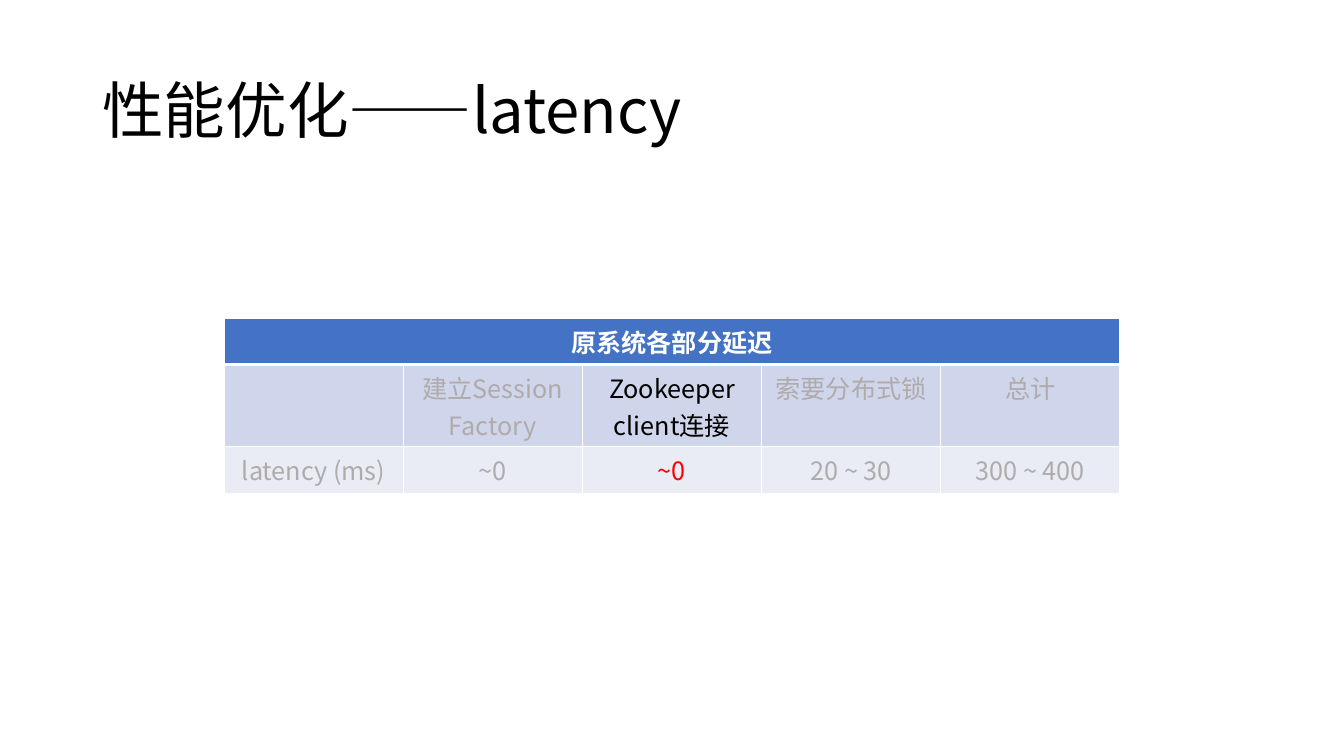
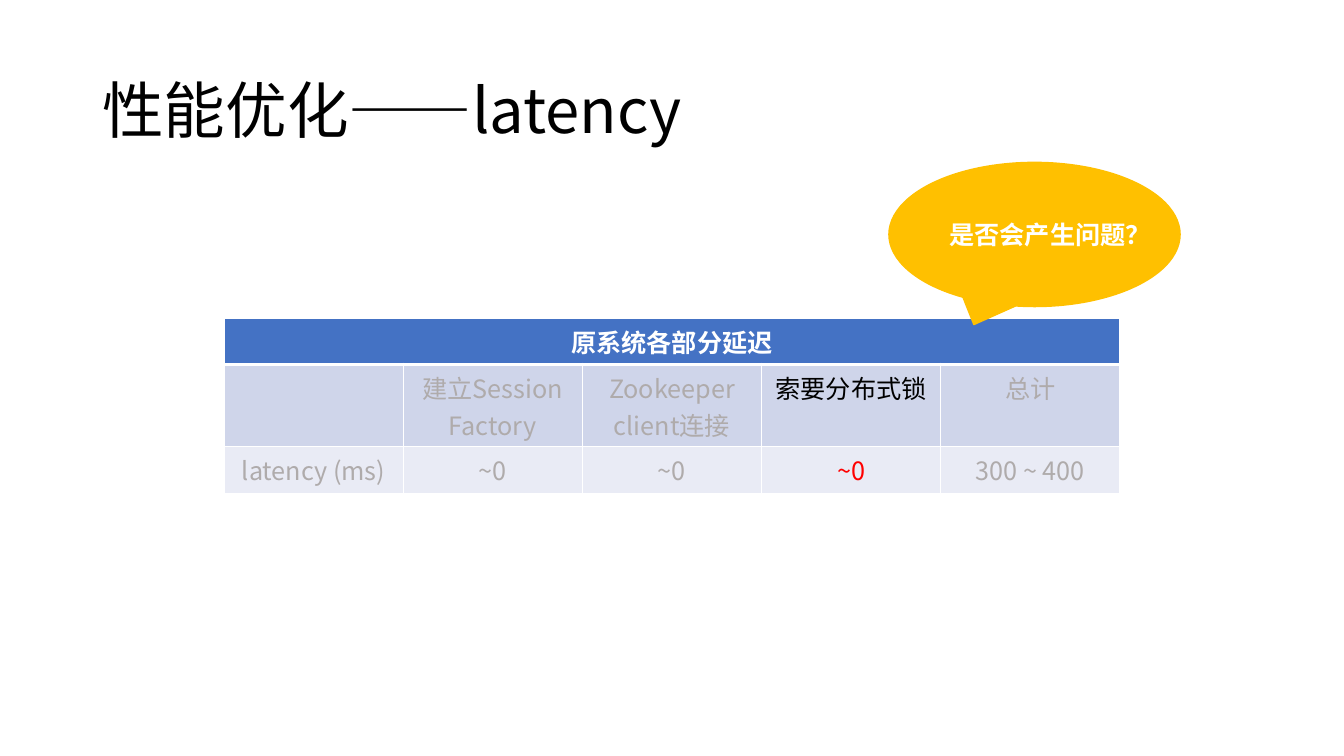
"""Builds two slides on the latency of each part of the system."""
from lxml.etree import SubElement
from pptx import Presentation
from pptx.dml.color import RGBColor
from pptx.enum.shapes import MSO_SHAPE
from pptx.enum.text import MSO_ANCHOR, PP_ALIGN
from pptx.oxml.ns import qn
from pptx.util import Pt

TITLE = "性能优化——latency"
TABLE_HEADING = "原系统各部分延迟"
STAGES = ["", "建立Session Factory", "Zookeeper client连接", "索要分布式锁", "总计"]
SLIDES = [
    {"latency": ["latency (ms)", "~0", "~0", "20 ~ 30", "300 ~ 400"],
     "active": 2, "question": None},
    {"latency": ["latency (ms)", "~0", "~0", "~0", "300 ~ 400"],
     "active": 3, "question": "是否会产生问题？"},
]

FONT = "Noto Sans CJK SC"
WHITE, BLACK, RED, MUTED, AMBER = "FFFFFF", "000000", "FF0000", "AFABAB", "FFC000"
ROW_FILLS = ["4472C4", "CFD5EA", "E9EBF5"]
ACTIVE_COLORS = [WHITE, BLACK, RED]
TITLE_STYLE = {"size": Pt(44), "bold": False}
BODY_STYLE = {"size": Pt(18), "bold": False}
STRONG_STYLE = {"size": Pt(18), "bold": True}

ROW_HEIGHTS = [33, 58.5, 33.5]
TITLE_BOX = (66, 28.8, 828, 104.4)
TABLE_BOX = (160, 227.4, 640, sum(ROW_HEIGHTS))
CALLOUT_BOX = (635, 116, 208, 103)
QUESTION_BOX = (671, 153.2, 160, 29)


def rgb(value):
    """Turn a hex string into a colour."""
    return RGBColor.from_string(value)


def points(lengths):
    """Turn plain numbers into lengths."""
    return [Pt(length) for length in lengths]


def write(frame, text, style, color, align=PP_ALIGN.LEFT):
    """Write one styled paragraph into a text frame."""
    paragraph = frame.paragraphs[0]
    paragraph.alignment = align
    run = paragraph.add_run()
    run.text = text
    for name, value in {"name": FONT, **style}.items():
        setattr(run.font, name, value)
    run.font.color.rgb = rgb(color)
    SubElement(run.font._element, qn("a:ea"), typeface=FONT)
    return paragraph


def set_borders(cell, top, bottom):
    """Draw white borders of the given top and bottom widths."""
    properties = cell._tc.get_or_add_tcPr()
    for side, width in {"L": 1, "R": 1, "T": top, "B": bottom}.items():
        line = SubElement(properties, qn(f"a:ln{side}"), w=str(Pt(width)))
        fill = SubElement(line, qn("a:solidFill"))
        SubElement(fill, qn("a:srgbClr"), val=WHITE)


def add_title(slide):
    """Add the shared slide title."""
    frame = slide.shapes.add_textbox(*points(TITLE_BOX)).text_frame
    frame.word_wrap = True
    frame.vertical_anchor = MSO_ANCHOR.MIDDLE
    write(frame, TITLE, TITLE_STYLE, BLACK).line_spacing = 0.9


def add_latency_table(slide, latency, active):
    """Add the table with one stage brought forward."""
    rows = [[TABLE_HEADING] + [""] * (len(STAGES) - 1), STAGES, latency]
    table = slide.shapes.add_table(len(rows), len(STAGES), *points(TABLE_BOX)).table
    for row, texts in enumerate(rows):
        table.rows[row].height = Pt(ROW_HEIGHTS[row])
        for column, text in enumerate(texts):
            cell = table.cell(row, column)
            set_borders(cell, 3 if row == 1 else 1, 3 if row == 0 else 1)
            cell.fill.solid()
            cell.fill.fore_color.rgb = rgb(ROW_FILLS[row])
            if text:
                highlighted = row == 0 or column == active
                write(cell.text_frame, text, STRONG_STYLE if row == 0 else BODY_STYLE,
                      ACTIVE_COLORS[row] if highlighted else MUTED, PP_ALIGN.CENTER)
    table.cell(0, 0).merge(table.cell(0, len(STAGES) - 1))


def add_question(slide, question):
    """Add the speech bubble and its question."""
    callout = slide.shapes.add_shape(MSO_SHAPE.OVAL_CALLOUT, *points(CALLOUT_BOX))
    callout.shadow.inherit = False
    callout.fill.solid()
    callout.fill.fore_color.rgb = rgb(AMBER)
    callout.line.color.rgb = rgb(AMBER)
    callout.line.width = Pt(1)
    frame = slide.shapes.add_textbox(*points(QUESTION_BOX)).text_frame
    frame.word_wrap = False
    write(frame, question, STRONG_STYLE, WHITE)


def main():
    """Build and save the slides."""
    deck = Presentation()
    deck.slide_width, deck.slide_height = Pt(960), Pt(540)
    for content in SLIDES:
        slide = deck.slides.add_slide(deck.slide_layouts[6])
        add_title(slide)
        add_latency_table(slide, content["latency"], content["active"])
        if content["question"]:
            add_question(slide, content["question"])
    deck.save("out.pptx")


if __name__ == "__main__":
    main()
